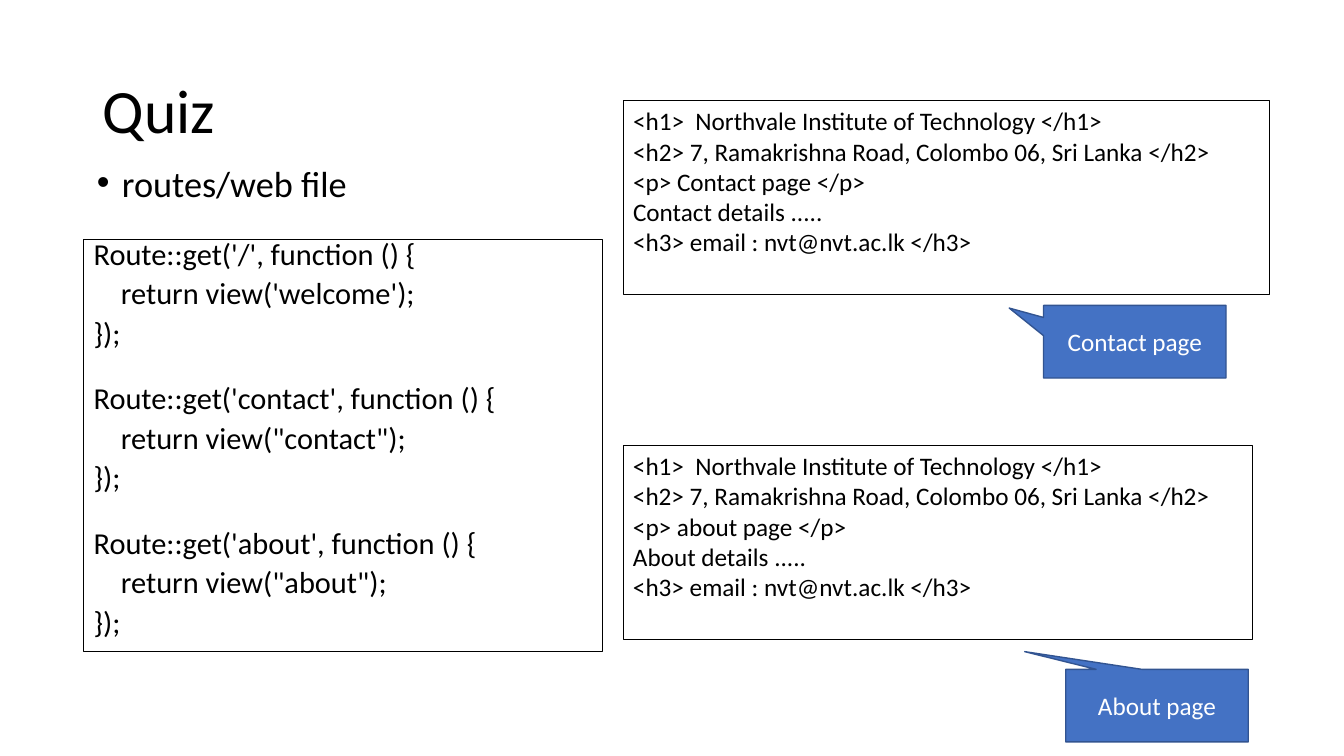
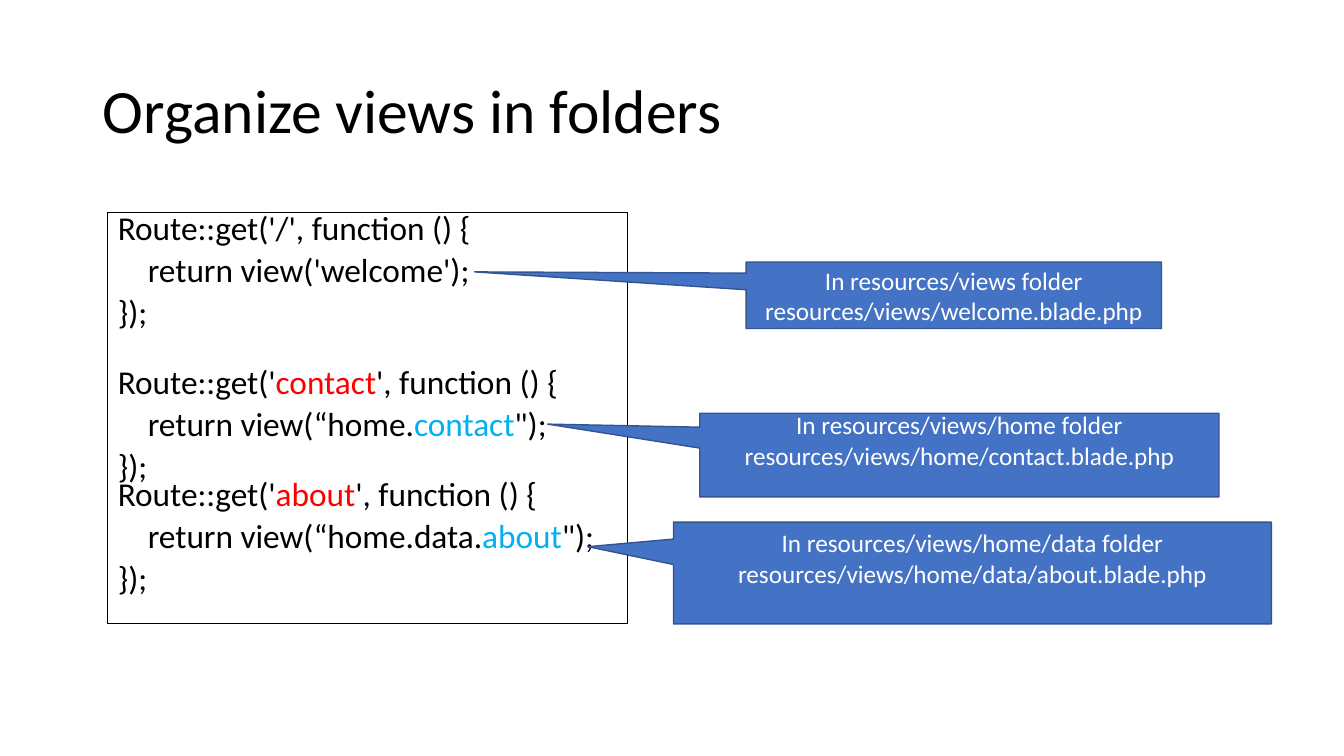
from dataclasses import dataclass
from typing import Optional

from pptx import Presentation
from pptx.dml.color import RGBColor
from pptx.enum.shapes import MSO_SHAPE
from pptx.enum.text import MSO_ANCHOR, MSO_AUTO_SIZE, PP_ALIGN
from pptx.util import Inches, Pt

RECTANGLE = MSO_SHAPE.RECTANGLE
CALLOUT = MSO_SHAPE.RECTANGULAR_CALLOUT
TOP, MIDDLE = MSO_ANCHOR.TOP, MSO_ANCHOR.MIDDLE
LEFT, CENTER = PP_ALIGN.LEFT, PP_ALIGN.CENTER
NO_FIT = MSO_AUTO_SIZE.NONE

COLORS = {
    "black": "000000",
    "white": "FFFFFF",
    "blue": "4472C4",
    "outline": "325491",
    "address": "FF0000",
    "view": "00B0F0",
}
FONT = "Calibri"
TEXT_SIZE = 18
CODE_SPACE = 10
NBSP = "\u00a0"
TITLE_AREA = (0.92, 0.4, 11.5, 1.45)
TITLE_ONLY, TITLE_AND_BODY = 5, 1


@dataclass
class Span:
    """A piece of text in one colour."""
    text: str
    color: str = "black"


@dataclass
class Line:
    """One paragraph of a box."""
    spans: list[Span]
    indented: bool = False
    space_before: float = 0


@dataclass
class Route:
    """A web route and the view that it returns."""
    address: str
    view: str
    folder: str = ""
    quotes: str = '""'
    address_color: str = "black"
    view_color: str = "black"
    space_before: float = CODE_SPACE


@dataclass
class Callout:
    """A filled label whose tip points at (tip_x, tip_y)."""
    area: tuple[float, float, float, float]
    tip: tuple[float, float]
    texts: list[str]
    bottom_inset: float = 0.05


def rgb(name: str) -> RGBColor:
    """Look up a palette colour."""
    return RGBColor.from_string(COLORS[name])


def place(shape, area: tuple[float, float, float, float]) -> None:
    """Move and size a shape, in inches."""
    shape.left, shape.top, shape.width, shape.height = map(Inches, area)


def add_spans(para, spans: list[Span], size: float) -> None:
    """Append runs to a paragraph."""
    for span in spans:
        run = para.add_run()
        run.text = span.text
        run.font.name = FONT
        run.font.size = Pt(size)
        run.font.color.rgb = rgb(span.color)


def fill_box(box, lines: list[Line], size: float, align=LEFT, spacing: float = 1) -> None:
    """Write lines as the paragraphs of a shape."""
    frame = box.text_frame
    for index, line in enumerate(lines):
        para = frame.add_paragraph() if index else frame.paragraphs[0]
        para.alignment = align
        para.line_spacing = spacing
        para.space_before = Pt(line.space_before)
        if line.indented:
            para._p.get_or_add_pPr().set("marL", str(Pt(0.9 * size)))
        add_spans(para, line.spans, size)


def add_box(page, kind, area, fill: Optional[str], outline: str, width: float, anchor):
    """Add a shape with a plain outline and an optional fill."""
    box = page.shapes.add_shape(kind, *map(Inches, area))
    box.shadow.inherit = False
    if fill:
        box.fill.solid()
        box.fill.fore_color.rgb = rgb(fill)
    else:
        box.fill.background()
    box.line.color.rgb = rgb(outline)
    box.line.width = Pt(width)
    box.text_frame.word_wrap = True
    box.text_frame.vertical_anchor = anchor
    return box


def add_frame(page, area, lines: list[Line], size: float, spacing: float = 1) -> None:
    """Add a black-outlined box of text."""
    box = add_box(page, RECTANGLE, area, None, "black", 0.75, TOP)
    fill_box(box, lines, size, spacing=spacing)


def add_callout(page, callout: Callout) -> None:
    """Add a blue callout."""
    box = add_box(page, CALLOUT, callout.area, "blue", "outline", 1, MIDDLE)
    box.adjustments[0], box.adjustments[1] = callout.tip
    box.text_frame.margin_bottom = Inches(callout.bottom_inset)
    lines = [Line([Span(text, "white")]) for text in callout.texts]
    fill_box(box, lines, TEXT_SIZE, CENTER)


def add_routes(page, area, routes: list[Route], size: float) -> None:
    """Add a box of route code, three lines to a route."""
    lines = []
    for route in routes:
        opening, closing = route.quotes
        lines += [
            Line([Span("Route::get('"), Span(route.address, route.address_color),
                  Span("', function () {")], space_before=route.space_before),
            Line([Span(f"return view({opening}{route.folder}"),
                  Span(route.view, route.view_color), Span(f"{closing});")],
                 indented=True, space_before=CODE_SPACE),
            Line([Span("});")], space_before=CODE_SPACE),
        ]
    add_frame(page, area, lines, size, spacing=0.7)


def add_markup(page, area, kind: str) -> None:
    """Add a box with the HTML of one page."""
    texts = [
        f"<h1>{NBSP} Northvale Institute of Technology </h1>",
        "<h2> 7, Ramakrishna Road, Colombo 06, Sri Lanka </h2>",
        f"<p> {kind} page </p>",
        f"{kind.capitalize()} details .....",
        "<h3> email : nvt@nvt.ac.lk </h3>",
    ]
    add_frame(page, area, [Line([Span(text)]) for text in texts], TEXT_SIZE)


def add_page(deck, layout: int, title: str):
    """Add a slide with the shared title style."""
    page = deck.slides.add_slide(deck.slide_layouts[layout])
    holder = page.shapes.title
    place(holder, TITLE_AREA)
    holder.text_frame.auto_size = NO_FIT
    holder.text_frame.vertical_anchor = MIDDLE
    fill_box(holder, [Line([Span(title)])], 44, spacing=0.9)
    return page


def build_quiz(deck) -> None:
    """Slide 1: routes and the pages they show."""
    page = add_page(deck, TITLE_AND_BODY, "Quiz")
    body = page.placeholders[1]
    place(body, (0.86, 1.63, 5.15, 0.48))
    body.text_frame.auto_size = NO_FIT
    fill_box(body, [Line([Span("routes/web file")], space_before=10)], 25.9, spacing=0.8)
    properties = body.text_frame.paragraphs[0]._p.get_or_add_pPr()
    properties.set("marL", str(Inches(0.25)))
    properties.set("indent", str(Inches(-0.25)))

    add_callout(page, Callout((10.35, 3.03, 1.81, 0.72), (-0.688, -0.463), ["Contact page"]))
    add_callout(page, Callout((10.57, 6.64, 1.81, 0.72), (-0.725, -0.744), ["About page"]))
    add_markup(page, (6.18, 4.42, 6.24, 1.92), "about")
    add_markup(page, (6.18, 1, 6.41, 1.92), "Contact")
    add_routes(page, (0.83, 2.38, 5.15, 4.08), [
        Route("/", "welcome", quotes="''"),
        Route("contact", "contact", space_before=28.5),
        Route("about", "about", space_before=28.5),
    ], 21.7)


def build_folders(deck) -> None:
    """Slide 2: routes with views in folders."""
    page = add_page(deck, TITLE_ONLY, "Organize views in folders")
    add_routes(page, (1.07, 2.11, 5.15, 4.08), [
        Route("/", "welcome", quotes="''"),
        Route("contact", "contact", "home.", "\u201c\"", "address", "view", 30.3),
        Route("about", "about", "home.data.", "\u201c\"", "address", "view", 0),
    ], 23.8)
    callouts = [
        Callout((7.4, 2.6, 4.12, 0.66), (-1.154, -0.352),
                ["In resources/views folder", "resources/views/welcome.blade.php"]),
        Callout((6.94, 4.1, 5.15, 0.83), (-0.793, -0.37),
                ["In resources/views/home folder",
                 "resources/views/home/contact.blade.php"], 0.35),
        Callout((6.68, 5.18, 5.93, 1.01), (-0.643, -0.259),
                ["In resources/views/home/data folder",
                 "resources/views/home/data/about.blade.php"], 0.35),
    ]
    for callout in callouts:
        add_callout(page, callout)


def main() -> None:
    """Build and save the deck."""
    deck = Presentation()
    deck.slide_width, deck.slide_height = Inches(13.33), Inches(7.5)
    build_quiz(deck)
    build_folders(deck)
    deck.save("out.pptx")


main()
